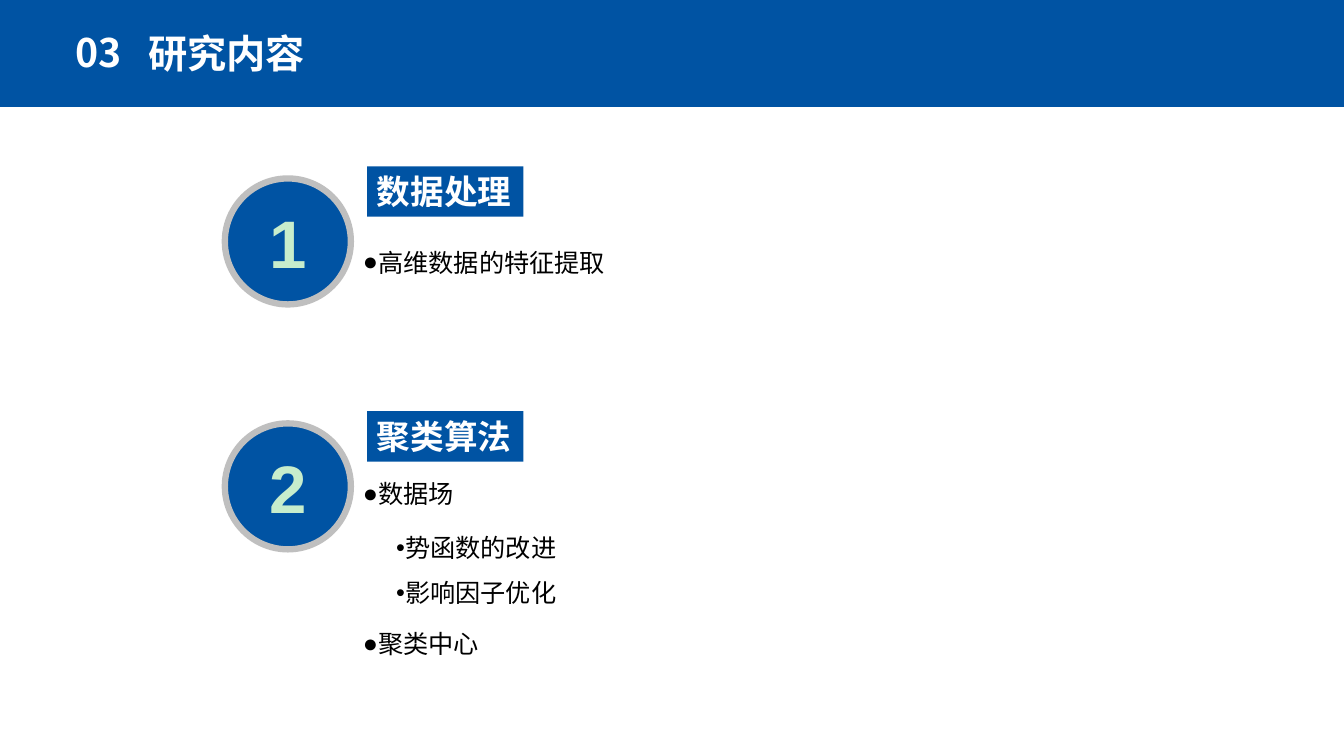
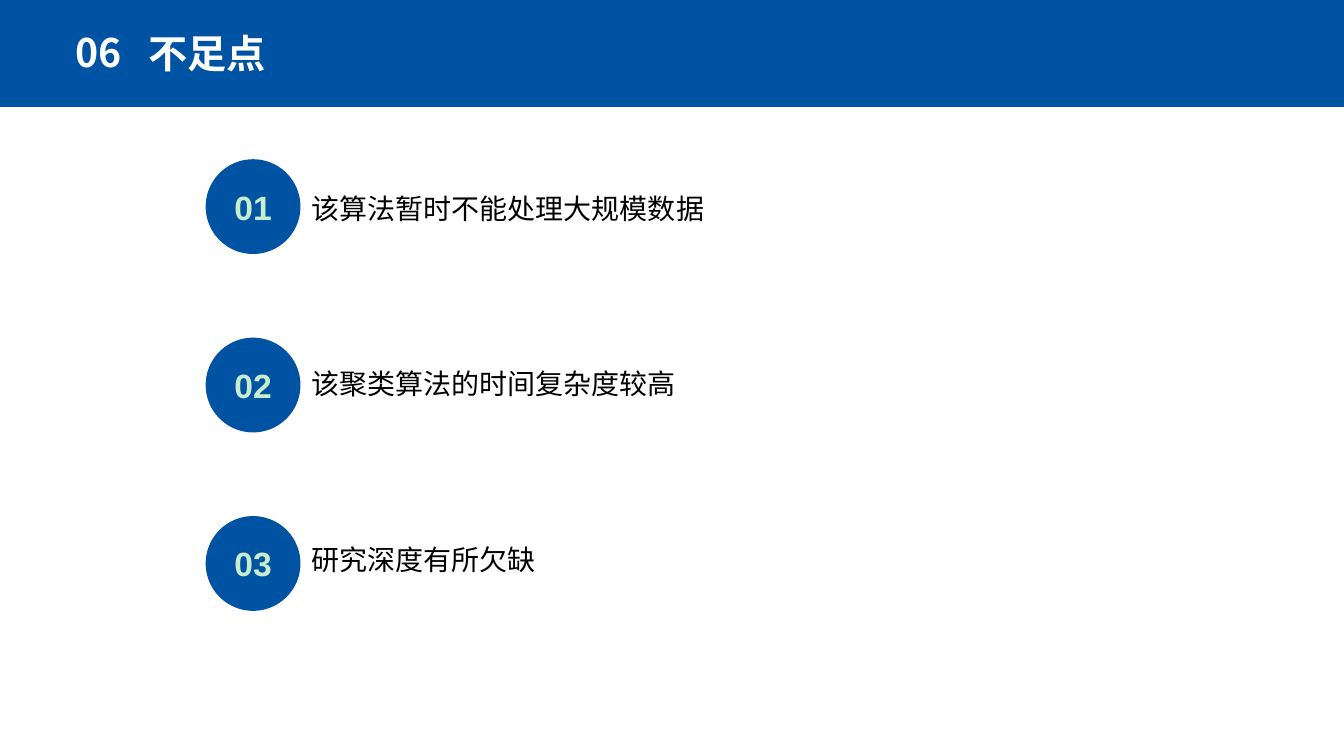
from dataclasses import dataclass

from lxml import etree
from pptx import Presentation
from pptx.dml.color import RGBColor
from pptx.enum.shapes import MSO_SHAPE
from pptx.enum.text import MSO_ANCHOR, MSO_AUTO_SIZE, PP_ALIGN
from pptx.oxml.ns import qn
from pptx.util import Inches, Pt

RECT, OVAL = MSO_SHAPE.RECTANGLE, MSO_SHAPE.OVAL
TOP, MIDDLE = MSO_ANCHOR.TOP, MSO_ANCHOR.MIDDLE
LEFT, CENTER = PP_ALIGN.LEFT, PP_ALIGN.CENTER
NO_FIT = MSO_AUTO_SIZE.NONE
TITLE_ONLY, TWO_LISTS = 5, 3


@dataclass(frozen=True)
class Theme:
    blue: str = "0053A3"
    white: str = "FFFFFF"
    mint: str = "C7EDCC"
    ring: str = "BFBFBF"
    ink: str = "000000"
    title_font: str = "Noto Sans CJK SC"
    label_font: str = "DejaVu Sans"
    body_font: str = "Arial"
    title: int = 28
    big_number: int = 48
    label: int = 24
    point: int = 20
    item: int = 18


T = Theme()
WIDTH, HEIGHT = 13.33, 7.5

# Content: list items are (level, text, space before in points)
RESEARCH = ("03", "研究内容")
SECTIONS = [
    {"label": "数据处理", "list_top": 2.25, "spacing": 1.5,
     "items": [(0, "高维数据的特征提取", 0)]},
    {"label": "聚类算法", "list_top": 4.62, "spacing": 1.25,
     "items": [(0, "数据场", 0), (1, "势函数的改进", 11.5),
               (1, "影响因子优化", 5.5), (0, "聚类中心", 9.5)]},
]
WEAKNESSES = ("06", "不足点")
POINTS = ["该算法暂时不能处理大规模数据", "该聚类算法的时间复杂度较高", "研究深度有所欠缺"]
BULLETS = "●•"
LEVEL_INDENT = 0.33


def place(sp, x, y, w, h):
    sp.left, sp.top, sp.width, sp.height = map(Inches, (x, y, w, h))


def write(sp, text, size, color, font=T.body_font, bold=False, align=LEFT,
          anchor=TOP, wrap=True, first=True, spacing=1, before=0):
    """Write one paragraph into a shape and return it."""
    tf = sp.text_frame
    tf.word_wrap, tf.auto_size, tf.vertical_anchor = wrap, NO_FIT, anchor
    p = tf.paragraphs[0] if first else tf.add_paragraph()
    p.alignment, p.line_spacing = align, spacing
    p.space_before, p.space_after = Pt(before), Pt(0)
    r = p.add_run()
    r.text = text
    r.font.name, r.font.size, r.font.bold = font, Pt(size), bold
    r.font.color.rgb = RGBColor.from_string(color)
    return p


def add_box(s, box, text, size, color, **fmt):
    sp = s.shapes.add_textbox(*map(Inches, box))
    write(sp, text, size, color, **fmt)


def add_block(s, kind, box, ring=0):
    sp = s.shapes.add_shape(kind, *map(Inches, box))
    sp.shadow.inherit = False
    sp.fill.solid()
    sp.fill.fore_color.rgb = RGBColor.from_string(T.blue)
    if ring:
        sp.line.color.rgb = RGBColor.from_string(T.ring)
        sp.line.width = Pt(ring)
    else:
        sp.line.fill.background()
    return sp


def add_disc(s, x, y, size, number, text_size, ring=0):
    sp = add_block(s, OVAL, (x, y, size, size), ring)
    write(sp, number, text_size, T.mint, bold=True, align=CENTER, anchor=MIDDLE)


def fill_list(sp, items, spacing):
    for i, (level, text, before) in enumerate(items):
        p = write(sp, text, T.item, T.ink, first=i == 0,
                  spacing=spacing, before=before)
        p.level = level
        pPr = p._p.get_or_add_pPr()
        pPr.set("marL", str(Inches(LEVEL_INDENT * level)))
        pPr.set("indent", "0")
        etree.SubElement(pPr, qn("a:buChar")).set("char", BULLETS[level])


def new_slide(prs, layout, heading):
    """Add a slide with the blue band, its chapter number and title."""
    s = prs.slides.add_slide(prs.slide_layouts[layout])
    for sp in list(s.placeholders):
        if sp.placeholder_format.idx >= 10:
            sp.element.getparent().remove(sp.element)
    number, name = heading
    title = s.shapes.title
    band = add_block(s, RECT, (0, 0, WIDTH, 1.06))
    title.element.addprevious(band.element)
    fmt = {"font": T.title_font, "bold": True}
    place(title, 1.37, 0.24, 5.91, 0.57)
    write(title, name, T.title, T.white, **fmt)
    add_box(s, (0.52, 0.23, 0.91, 0.57), number, T.title, T.white,
            align=CENTER, **fmt)
    return s


def build_research(prs):
    s = new_slide(prs, TWO_LISTS, RESEARCH)
    pitch = 2.43
    for i, section in enumerate(SECTIONS):
        add_disc(s, 2.23, 1.77 + i * pitch, 1.25, str(i + 1), T.big_number, ring=4.5)
        label = add_block(s, RECT, (3.64, 1.65 + i * pitch, 1.55, 0.5))
        write(label, section["label"], T.label, T.white, font=T.label_font,
              bold=True, wrap=False)
        body = s.placeholders[i + 1]
        place(body, 3.5, section["list_top"], 8.5, 0.5 * len(section["items"]))
        fill_list(body, section["items"], section["spacing"])


def build_weaknesses(prs):
    s = new_slide(prs, TITLE_ONLY, WEAKNESSES)
    for i, point in enumerate(POINTS):
        add_disc(s, 2.04, 1.58 + i * 1.77, 0.94, f"{i + 1:02}", T.label)
        add_box(s, (2.99, 1.85 + i * 1.74, 9.14, 0.44), point, T.point, T.ink)


def main():
    prs = Presentation()
    prs.slide_width, prs.slide_height = Inches(WIDTH), Inches(HEIGHT)
    build_research(prs)
    build_weaknesses(prs)
    prs.save("out.pptx")


if __name__ == "__main__":
    main()
